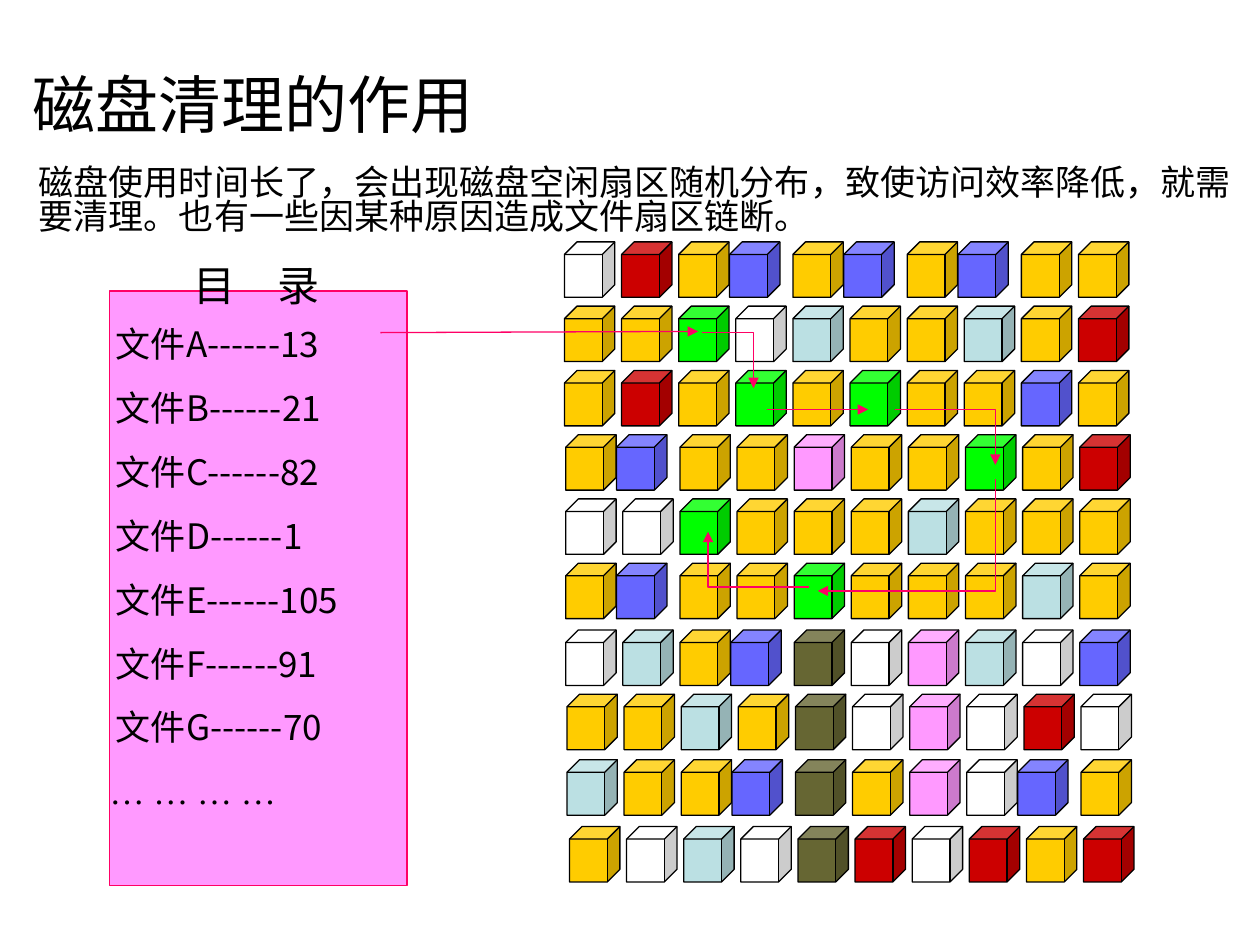
from typing import NamedTuple

from lxml import etree
from pptx import Presentation
from pptx.dml.color import RGBColor
from pptx.enum.shapes import MSO_CONNECTOR, MSO_SHAPE
from pptx.enum.text import MSO_ANCHOR, MSO_AUTO_SIZE, PP_ALIGN
from pptx.oxml.ns import qn
from pptx.util import Inches, Pt

CUBE = MSO_SHAPE.CUBE
RECTANGLE = MSO_SHAPE.RECTANGLE
STRAIGHT = MSO_CONNECTOR.STRAIGHT
TOP, MIDDLE = MSO_ANCHOR.TOP, MSO_ANCHOR.MIDDLE
LEFT, CENTER = PP_ALIGN.LEFT, PP_ALIGN.CENTER
NO_AUTOFIT = MSO_AUTO_SIZE.NONE

SANS = "Noto Sans CJK SC"
SERIF = "Times New Roman"
COLORS = {
    "black": "000000",
    "arrow": "FF0066",
    "panel": "FF99FF",
    "W": "FFFFFF",
    "R": "CC0000",
    "Y": "FFCC00",
    "B": "6666FF",
    "G": "00FF00",
    "C": "BBE0E3",
    "P": "FF99FF",
    "O": "666633",
}
CUBE_WIDTH, CUBE_HEIGHT = 0.4, 0.44
COLUMN_STEP = 4.08 / 9
LOWERCASE_SHIFT = 0.05


class SectorRow(NamedTuple):
    left: float
    top: float
    sectors: str


SECTOR_ROWS = [
    SectorRow(4.48, 1.92, "WRYbYbYbYY"),
    SectorRow(4.48, 2.43, "YYGWCYYCYR"),
    SectorRow(4.48, 2.94, "YRYGYGYYBY"),
    SectorRow(4.49, 3.45, "YbYYPYYGYR"),
    SectorRow(4.49, 3.96, "WWGYYYCYYY"),
    SectorRow(4.49, 4.47, "YbYYGYYYCY"),
    SectorRow(4.49, 5.00, "WCYbOWPCWB"),
    SectorRow(4.50, 5.51, "YYCYOWPWRW"),
    SectorRow(4.50, 6.03, "CYYbOYPWbY"),
    SectorRow(4.52, 6.56, "YWCWORWRYR"),
]
CHAIN = [
    [(3.02, 2.64), (5.54, 2.63)],
    [(5.57, 2.64), (5.98, 2.64), (5.98, 3.08)],
    [(6.09, 3.25), (6.89, 3.25)],
    [(7.1, 3.25), (7.9, 3.25), (7.9, 3.69)],
    [(7.9, 3.8), (7.9, 4.69), (6.49, 4.69)],
    [(6.42, 4.66), (5.62, 4.66), (5.62, 4.22)],
]
FILES = {"A": 13, "B": 21, "C": 82, "D": 1, "E": 105, "F": 91, "G": 70}


def rgb(name: str) -> RGBColor:
    return RGBColor.from_string(COLORS[name])


def place(shape, left: float, top: float, width: float, height: float) -> None:
    shape.left, shape.top = Inches(left), Inches(top)
    shape.width, shape.height = Inches(width), Inches(height)


def format_paragraph(paragraph, size: float, font_name: str, align=LEFT) -> None:
    paragraph.alignment = align
    font = paragraph.font
    font.size, font.name, font.bold = Pt(size), font_name, False
    font.color.rgb = rgb("black")
    properties = paragraph._p.get_or_add_pPr().find(qn("a:defRPr"))
    etree.SubElement(properties, qn("a:ea")).set("typeface", SANS)


def write_lines(frame, lines: list[str], size: float, font_name: str,
                align=LEFT, anchor=TOP) -> None:
    frame.word_wrap = False
    frame.auto_size = NO_AUTOFIT
    frame.vertical_anchor = anchor
    frame.text = "\n".join(lines)
    for paragraph in frame.paragraphs:
        format_paragraph(paragraph, size, font_name, align)


def add_box(slide, kind, left: float, top: float, width: float, height: float,
            fill: str, line: str):
    shape = slide.shapes.add_shape(
        kind, Inches(left), Inches(top), Inches(width), Inches(height))
    shape.shadow.inherit = False
    shape.fill.solid()
    shape.fill.fore_color.rgb = rgb(fill)
    shape.line.color.rgb = rgb(line)
    shape.line.width = Pt(0.75)
    return shape


def add_directory(slide) -> None:
    panel = add_box(slide, RECTANGLE, 0.87, 2.31, 2.36, 4.72, "panel", "arrow")
    frame = panel.text_frame
    frame.margin_left = frame.margin_right = frame.margin_bottom = 0
    frame.margin_top = Inches(0.25)
    entries = [f"文件{name}------{sector}" for name, sector in FILES.items()]
    write_lines(frame, entries + ["… … … …"], 20, SANS)
    for paragraph in frame.paragraphs:
        paragraph.space_before = Pt(12.5)
    for paragraph in frame.paragraphs[:-1]:
        paragraph._p.get_or_add_pPr().set("marL", str(Inches(0.05)))
    frame.paragraphs[-1].font.name = SERIF


def add_sector_row(slide, row: SectorRow) -> None:
    for column, code in enumerate(row.sectors):
        left = row.left + column * COLUMN_STEP - LOWERCASE_SHIFT * code.islower()
        add_box(slide, CUBE, left, row.top, CUBE_WIDTH, CUBE_HEIGHT,
                code.upper(), "black")


def add_arrow(slide, points: list[tuple[float, float]]) -> None:
    corners = [(Inches(x), Inches(y)) for x, y in points]
    if len(corners) == 2:
        arrow = slide.shapes.add_connector(STRAIGHT, *corners[0], *corners[1])
    else:
        builder = slide.shapes.build_freeform(*corners[0])
        builder.add_line_segments(corners[1:], close=False)
        arrow = builder.convert_to_shape()
        arrow.fill.background()
    arrow.line.color.rgb = rgb("arrow")
    arrow.line.width = Pt(0.75)
    etree.SubElement(arrow.line._get_or_add_ln(), qn("a:tailEnd")).set("type", "triangle")
    etree.SubElement(arrow._element.spPr, qn("a:effectLst"))


def add_text(slide, lines: list[str], left: float, top: float, width: float,
             height: float, size: float, font_name: str, align=LEFT, anchor=TOP):
    box = slide.shapes.add_textbox(
        Inches(left), Inches(top), Inches(width), Inches(height))
    write_lines(box.text_frame, lines, size, font_name, align, anchor)
    return box


def main() -> None:
    presentation = Presentation()
    presentation.slide_width, presentation.slide_height = Inches(10), Inches(7.5)
    slide = presentation.slides.add_slide(presentation.slide_layouts[5])
    title = slide.shapes.title
    place(title, 0.16, 0.47, 3.8, 0.7)
    write_lines(title.text_frame, ["磁盘清理的作用"], 36, SANS)
    add_directory(slide)
    for row in SECTOR_ROWS:
        add_sector_row(slide, row)
    for points in CHAIN:
        add_arrow(slide, points)
    add_text(slide, ["目　录"], 1.27, 2.01, 1.53, 0.5, 24, SERIF, CENTER, MIDDLE)
    body = add_text(
        slide,
        ["磁盘使用时间长了，会出现磁盘空闲扇区随机分布，致使访问效率降低，就需",
         "要清理。也有一些因某种原因造成文件扇区链断。"],
        0.21, 1.29, 9.66, 0.64, 20, SANS)
    for paragraph in body.text_frame.paragraphs:
        paragraph.line_spacing = 0.8
    presentation.save("out.pptx")


if __name__ == "__main__":
    main()
